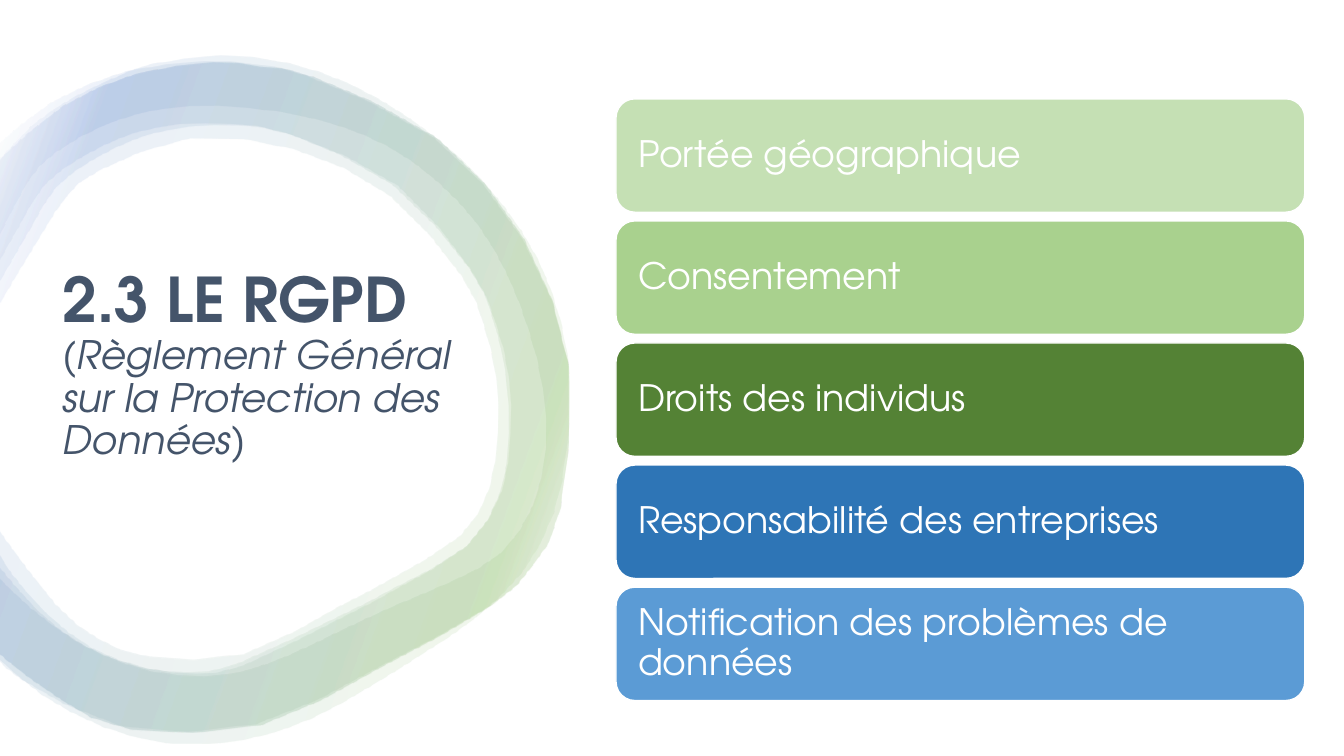
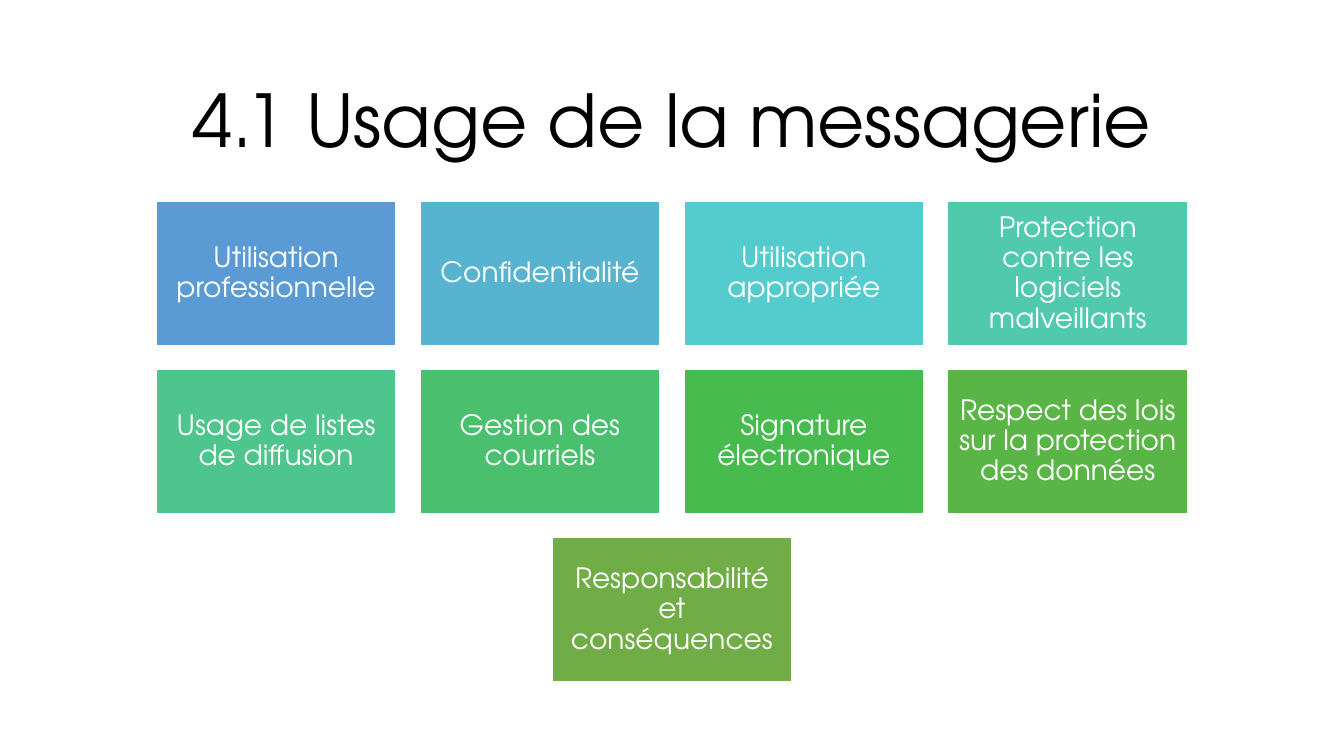
import lxml.etree
import pptx
import pptx.dml.color
import pptx.enum.shapes
import pptx.enum.text
import pptx.oxml.ns
import pptx.util

Pt = pptx.util.Pt
qn = pptx.oxml.ns.qn
Align = pptx.enum.text.PP_ALIGN
Shape = pptx.enum.shapes.MSO_SHAPE

WIDTH, HEIGHT = 960, 540
FONT = "TeX Gyre Adventor"
COLORS = {
    "white": "FFFFFF", "black": "000000", "slate": "44546A",
    "pale green": "C5E0B4", "light green": "A9D18E", "dark green": "548235",
    "dark blue": "2E75B6", "blue": "5B9BD5", "sky": "57B4D1",
    "turquoise": "54CCCD", "aqua": "51C9AD", "mint": "4DC58D",
    "emerald": "4AC06E", "bright green": "48BB4F", "leaf": "59B546",
    "green": "70AD47", "royal": "4472C4",
}

# Ring gradient: position in percent, colour; every stop is 10 % opaque
RING_STOPS = [(2, "white"), (16, "green"), (85, "royal"), (100, "white")]

# Ring contours in points, running from the left edge round to the left edge
OUTER_WIDE = [
    (-1, 115), (24, 89), (54, 69), (86, 54), (109, 46), (157, 40), (204, 45),
    (249, 60), (291, 84), (328, 113), (359, 147), (384, 186), (400, 230),
    (407, 276), (404, 321), (395, 366), (373, 408), (338, 442), (301, 467),
    (264, 490), (222, 513), (175, 528), (123, 531), (74, 519), (30, 496),
    (-1, 470)]
INNER_WIDE = [
    (-1, 412), (22, 434), (55, 458), (90, 474), (127, 482), (165, 481),
    (203, 469), (241, 451), (282, 432), (322, 415), (357, 395), (380, 361),
    (389, 320), (387, 277), (377, 236), (362, 197), (341, 161), (312, 130),
    (277, 105), (238, 89), (198, 80), (156, 76), (116, 78), (76, 89),
    (40, 109), (20, 130), (-1, 170)]
OUTER_LEFT = [
    (-1, 103), (37, 73), (90, 51), (145, 44), (181, 46), (218, 54), (309, 98),
    (373, 171), (406, 262), (400, 363), (380, 404), (349, 433), (269, 477),
    (183, 517), (88, 519), (15, 485), (-1, 470)]
INNER_LEFT = [
    (-1, 404), (27, 436), (60, 461), (99, 476), (134, 480), (169, 474),
    (246, 438), (279, 421), (333, 390), (357, 351), (363, 310), (361, 269),
    (352, 229), (335, 192), (280, 132), (207, 96), (166, 89), (128, 89),
    (93, 96), (59, 112), (32, 132), (14, 161), (-1, 188)]
OUTER_RIGHT = [
    (-1, 117), (3, 111), (45, 76), (97, 53), (152, 45), (186, 48), (223, 55),
    (312, 99), (374, 171), (406, 262), (400, 363), (380, 404), (350, 433),
    (271, 477), (186, 518), (93, 521), (44, 500), (3, 470), (-1, 465)]
INNER_TIGHT = [
    (-1, 377), (3, 384), (40, 432), (70, 456), (107, 469), (174, 467),
    (244, 432), (278, 414), (328, 383), (349, 349), (355, 309), (354, 270),
    (345, 232), (329, 197), (278, 140), (210, 107), (136, 99), (71, 122),
    (48, 140), (30, 167), (1, 215), (-1, 220)]
INNER_RIGHT = [
    (-1, 394), (7, 408), (33, 438), (66, 463), (104, 477), (140, 481),
    (174, 475), (248, 439), (282, 421), (333, 390), (358, 351), (364, 310),
    (363, 269), (353, 229), (336, 193), (284, 133), (212, 98), (171, 90),
    (135, 91), (101, 98), (67, 114), (40, 134), (22, 163), (0, 201), (-1, 204)]
RING_LAYERS = [(OUTER_WIDE, INNER_WIDE), (OUTER_LEFT, INNER_LEFT),
               (OUTER_RIGHT, INNER_TIGHT), (OUTER_RIGHT, INNER_RIGHT)]


def smooth_curve(points, steps=2):
    """Catmull-Rom curve through the points."""
    padded = [points[0], *points, points[-1]]
    curve = [points[0]]
    for a, b, c, d in zip(padded, padded[1:], padded[2:], padded[3:]):
        for step in range(1, steps + 1):
            t = step / steps
            curve.append(tuple(
                (2 * q + (r - p) * t + (2 * p - 5 * q + 4 * r - s) * t ** 2
                 + (3 * q - p - 3 * r + s) * t ** 3) / 2
                for p, q, r, s in zip(a, b, c, d)))
    return curve


def rgb(name):
    return pptx.dml.color.RGBColor.from_string(COLORS[name])


class Deck:
    def __init__(self):
        self.presentation = pptx.Presentation()
        self.presentation.slide_width = Pt(WIDTH)
        self.presentation.slide_height = Pt(HEIGHT)
        self.slide = None

    def add_slide(self):
        layout = self.presentation.slide_layouts.get_by_name("Title Only")
        self.slide = self.presentation.slides.add_slide(layout)

    def format_text(self, text_frame, align, inset):
        text_frame.word_wrap = True
        text_frame.auto_size = pptx.enum.text.MSO_AUTO_SIZE.NONE
        text_frame.vertical_anchor = pptx.enum.text.MSO_ANCHOR.MIDDLE
        text_frame.margin_left = text_frame.margin_right = Pt(inset)
        text_frame.margin_top = text_frame.margin_bottom = Pt(inset / 2)
        paragraph = text_frame.paragraphs[0]
        paragraph.alignment = align
        paragraph.line_spacing = 0.9
        return paragraph

    def format_run(self, run, size, color, bold=False, italic=False):
        run.font.name = FONT
        run.font.size = Pt(size)
        run.font.bold = bold
        run.font.italic = italic
        run.font.color.rgb = rgb(color)

    def title(self, box, runs, color, align):
        """Each run is (text, size, style options)."""
        shape = self.slide.shapes.title
        shape.left, shape.top, shape.width, shape.height = map(Pt, box)
        paragraph = self.format_text(shape.text_frame, align, 7.2)
        for text, size, style in runs:
            run = paragraph.add_run()
            run.text = text
            self.format_run(run, size, color, **style)

    def box(self, kind, box, text, fill, size, align, inset):
        shape = self.slide.shapes.add_shape(kind, *map(Pt, box))
        shape.shadow.inherit = False
        shape.fill.solid()
        shape.fill.fore_color.rgb = rgb(fill)
        shape.line.color.rgb = rgb("white")
        shape.line.width = Pt(1)
        shape.text_frame.text = text
        paragraph = self.format_text(shape.text_frame, align, inset)
        self.format_run(paragraph.runs[0], size, "white")

    def ring_layer(self, outer, inner):
        outline = [(Pt(x), Pt(y))
                   for x, y in smooth_curve(outer) + smooth_curve(inner)]
        builder = self.slide.shapes.build_freeform(*outline[0])
        builder.add_line_segments(outline[1:], close=True)
        shape = builder.convert_to_shape()
        shape.shadow.inherit = False
        shape.line.fill.background()
        shape.fill.gradient()
        shape.fill.gradient_angle = 160
        # Replace the default stops with translucent ones
        stops = shape.element.spPr.find(".//" + qn("a:gsLst"))
        for stop in list(stops):
            stops.remove(stop)
        for position, color in RING_STOPS:
            stop = lxml.etree.SubElement(
                stops, qn("a:gs"), pos=str(position * 1000))
            value = lxml.etree.SubElement(
                stop, qn("a:srgbClr"), val=COLORS[color])
            lxml.etree.SubElement(value, qn("a:alpha"), val="10000")


def add_gdpr_slide(deck):
    deck.add_slide()
    for outer, inner in RING_LAYERS:
        deck.ring_layer(outer, inner)
    deck.title((37.5, 89.5, 304, 344), [
        ("2.3 LE RGPD", 44, {"bold": True}),
        (" ", 36, {}),
        ("(", 28, {}),
        ("Règlement Général sur la Protection des Données", 28,
         {"italic": True}),
        (")", 28, {}),
    ], "slate", Align.LEFT)
    # Stacked bars
    bars = [
        ("Portée géographique", "pale green"),
        ("Consentement", "light green"),
        ("Droits des individus", "dark green"),
        ("Responsabilité des entreprises", "dark blue"),
        ("Notification des problèmes de données", "blue"),
    ]
    height, gap = 81, 6.2
    for index, (text, fill) in enumerate(bars):
        top = 70.6 + index * (height + gap)
        deck.box(Shape.ROUNDED_RECTANGLE, (440, top, 492, height),
                 text, fill, 26, Align.LEFT, 11.8)


def add_mail_slide(deck):
    deck.add_slide()
    deck.title((66, 44, 828, 89), [("4.1 Usage de la messagerie", 52, {})],
               "black", Align.CENTER)
    # Tile grid, each row centred on the slide
    tiles = [
        ("Utilisation professionnelle", "blue"),
        ("Confidentialité", "sky"),
        ("Utilisation appropriée", "turquoise"),
        ("Protection contre les logiciels malveillants", "aqua"),
        ("Usage de listes de diffusion", "mint"),
        ("Gestion des courriels", "emerald"),
        ("Signature électronique", "bright green"),
        ("Respect des lois sur la protection des données", "leaf"),
        ("Responsabilité et conséquences", "green"),
    ]
    columns, width, height, gap = 4, 171.5, 103, 17
    for start in range(0, len(tiles), columns):
        row = tiles[start:start + columns]
        left = (WIDTH - len(row) * (width + gap) + gap) / 2
        top = 144 + start // columns * (height + gap)
        for column, (text, fill) in enumerate(row):
            deck.box(Shape.RECTANGLE,
                     (left + column * (width + gap), top, width, height),
                     text, fill, 20, Align.CENTER, 6)


def main():
    deck = Deck()
    add_gdpr_slide(deck)
    add_mail_slide(deck)
    deck.presentation.save("out.pptx")


if __name__ == "__main__":
    main()
